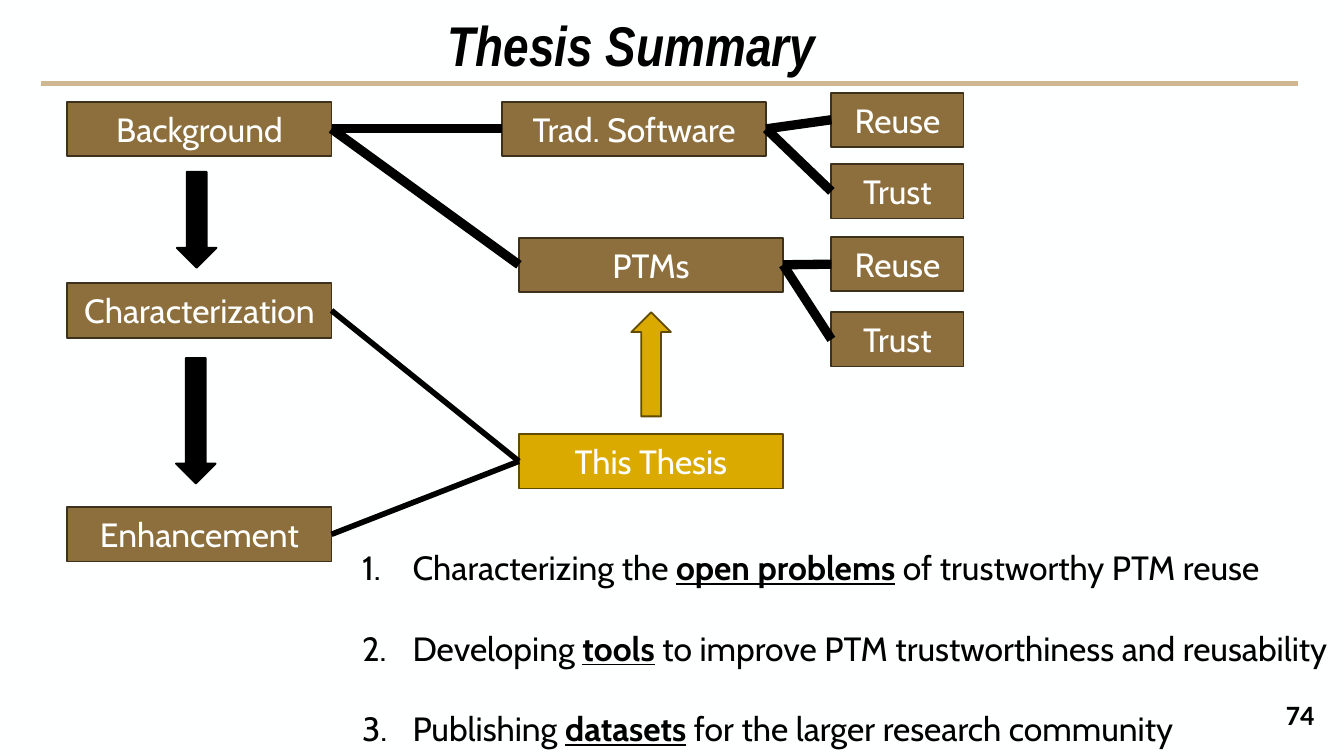
import pptx
import pptx.util
import pptx.dml.color
import pptx.enum.shapes
import pptx.enum.text
import pptx.oxml
import pptx.oxml.ns

Pt = pptx.util.Pt
SHAPE = pptx.enum.shapes.MSO_SHAPE
ALIGN = pptx.enum.text.PP_ALIGN
MIDDLE = pptx.enum.text.MSO_ANCHOR.MIDDLE

# Content
TITLE = "Thesis Summary"
PAGE = "74"
# name: (label, left, top, width, colour)
WIDE, NARROW, BOX_H = 141.5, 70.8, 29.1
STEP_X, TOPIC_X, LEAF_X = 36.1, 278, 445.4
BOXES = {
    "background": ("Background", STEP_X, 54.5, WIDE, "brown"),
    "characterization": ("Characterization", STEP_X, 151.8, WIDE, "brown"),
    "enhancement": ("Enhancement", STEP_X, 271.7, WIDE, "brown"),
    "software": ("Trad. Software", 269, 54.5, WIDE, "brown"),
    "software reuse": ("Reuse", LEAF_X, 49.6, NARROW, "brown"),
    "software trust": ("Trust", LEAF_X, 88, NARROW, "brown"),
    "ptms": ("PTMs", TOPIC_X, 127.3, WIDE, "brown"),
    "ptm reuse": ("Reuse", LEAF_X, 127, NARROW, "brown"),
    "ptm trust": ("Trust", LEAF_X, 167.3, NARROW, "brown"),
    "thesis": ("This Thesis", TOPIC_X, 232.6, WIDE, "gold"),
}
# from, to, line width
LINKS = [
    ("background", "software", 5),
    ("background", "ptms", 5),
    ("software", "software reuse", 5),
    ("software", "software trust", 5),
    ("ptms", "ptm reuse", 5),
    ("ptms", "ptm trust", 5),
    ("characterization", "thesis", 3),
    ("enhancement", "thesis", 3),
]
# left, top, width, height, rotation, colour
ARROWS = [
    (94.8, 92, 21.2, 51.4, 0, "black"),
    (94.3, 191.8, 21.2, 67.2, 0, "black"),
    (338.2, 167.3, 21.2, 55.8, 180, "gold"),
]
# before, emphasis, after
GOALS = [
    ("Characterizing the ", "open problems", " of trustworthy PTM reuse"),
    ("Developing ", "tools", " to improve PTM trustworthiness and reusability"),
    ("Publishing ", "datasets", " for the larger research community"),
]
COLORS = {"black": "000000", "white": "FEFFFF", "brown": "8D6F3D",
          "gold": "DAAA00", "rule": "CFB891"}
EDGES = {"black": "000000", "brown": "3E311B", "gold": "604B00"}
FORMATS = {
    "title": {"name": "Arial Narrow", "size": Pt(30), "bold": True, "italic": True},
    "label": {"name": "Cabin", "size": Pt(18)},
    "goal": {"name": "Cabin", "size": Pt(18), "bold": False, "underline": False},
    "key": {"name": "Cabin", "size": Pt(18), "bold": True, "underline": True},
    "page": {"name": "Calibri", "size": Pt(15), "bold": True},
}


def rgb(value):
    return pptx.dml.color.RGBColor.from_string(value)


def place(sp, *box):
    for name, value in zip(("left", "top", "width", "height"), box):
        setattr(sp, name, Pt(value))


def set_margins(tf, x, y):
    for name, value in {"left": x, "right": x, "top": y, "bottom": y}.items():
        setattr(tf, "margin_" + name, Pt(value))


def add_run(p, text, kind, color="black"):
    r = p.add_run()
    r.text = text
    for name, value in FORMATS[kind].items():
        setattr(r.font, name, value)
    r.font.color.rgb = rgb(COLORS[color])


def add_block(s, shape, box, color):
    sp = s.shapes.add_shape(shape, *map(Pt, box))
    sp.shadow.inherit = False
    sp.fill.solid()
    sp.fill.fore_color.rgb = rgb(COLORS[color])
    sp.line.color.rgb = rgb(EDGES[color])
    sp.line.width = Pt(1)
    return sp


def add_line(s, color, width, ends=(0, 0, 0, 0)):
    line = s.shapes.add_connector(
        pptx.enum.shapes.MSO_CONNECTOR.STRAIGHT, *map(Pt, ends))
    line.line.color.rgb = rgb(COLORS[color])
    line.line.width = Pt(width)
    line._element.spPr.append(pptx.oxml.parse_xml(
        "<a:effectLst %s/>" % pptx.oxml.ns.nsdecls("a")))
    return line


def number(p):
    pPr = p._p.get_or_add_pPr()
    pPr.set("marL", str(Pt(36)))
    pPr.set("indent", str(-Pt(27)))
    ns = pptx.oxml.ns.nsdecls("a")
    for xml in ('<a:buClr %s><a:srgbClr val="000000"/></a:buClr>',
                '<a:buFont %s typeface="Cabin"/>',
                '<a:buAutoNum %s type="arabicPeriod"/>'):
        pPr.append(pptx.oxml.parse_xml(xml % ns))


prs = pptx.Presentation()
prs.slide_width, prs.slide_height = Pt(720), Pt(405)
s = prs.slides.add_slide(prs.slide_layouts[1])
s.background.fill.solid()
s.background.fill.fore_color.rgb = rgb(COLORS["white"])

# Title and rule
add_line(s, "rule", 3, (21.8, 44.8, 695.6, 44.8))
title = s.shapes.title
place(title, 21.6, 7.2, 633.6, 37.6)
tf = title.text_frame
set_margins(tf, 14.4, 14.4)
tf.vertical_anchor = MIDDLE
p = tf.paragraphs[0]
p.alignment, p.line_spacing = ALIGN.CENTER, 0.9
add_run(p, TITLE, "title")

# Boxes
boxes = {}
for name, (label, left, top, width, color) in BOXES.items():
    sp = add_block(s, SHAPE.RECTANGLE, (left, top, width, BOX_H), color)
    p = sp.text_frame.paragraphs[0]
    p.alignment = ALIGN.CENTER
    add_run(p, label, "label", "white")
    boxes[name] = sp

# Links run from the right side of one box to the left side of the next
LEFT_SITE, RIGHT_SITE = 1, 3
for start, end, width in LINKS:
    line = add_line(s, "black", width)
    line.begin_connect(boxes[start], RIGHT_SITE)
    line.end_connect(boxes[end], LEFT_SITE)

# Block arrows
for *box, rotation, color in ARROWS:
    add_block(s, SHAPE.DOWN_ARROW, box, color).rotation = rotation

# Numbered goals
body = s.placeholders[1]
place(body, 177.8, 267.8, 567.4, 131.8)
tf = body.text_frame
tf.auto_size = pptx.enum.text.MSO_AUTO_SIZE.NONE
for i, (before, key, after) in enumerate(GOALS):
    p = tf.add_paragraph() if i else tf.paragraphs[0]
    number(p)
    p.line_spacing, p.space_before = 2.0, Pt(0)
    for text, kind in ((before, "goal"), (key, "key"), (after, "goal")):
        add_run(p, text, kind)

# Page number
tf = s.shapes.add_textbox(Pt(667.4), Pt(367.2), Pt(38), Pt(31)).text_frame
tf.word_wrap = True
set_margins(tf, 1.4, 3.6)
tf.vertical_anchor = MIDDLE
p = tf.paragraphs[0]
p.alignment = ALIGN.RIGHT
add_run(p, PAGE, "page")

prs.save("out.pptx")
